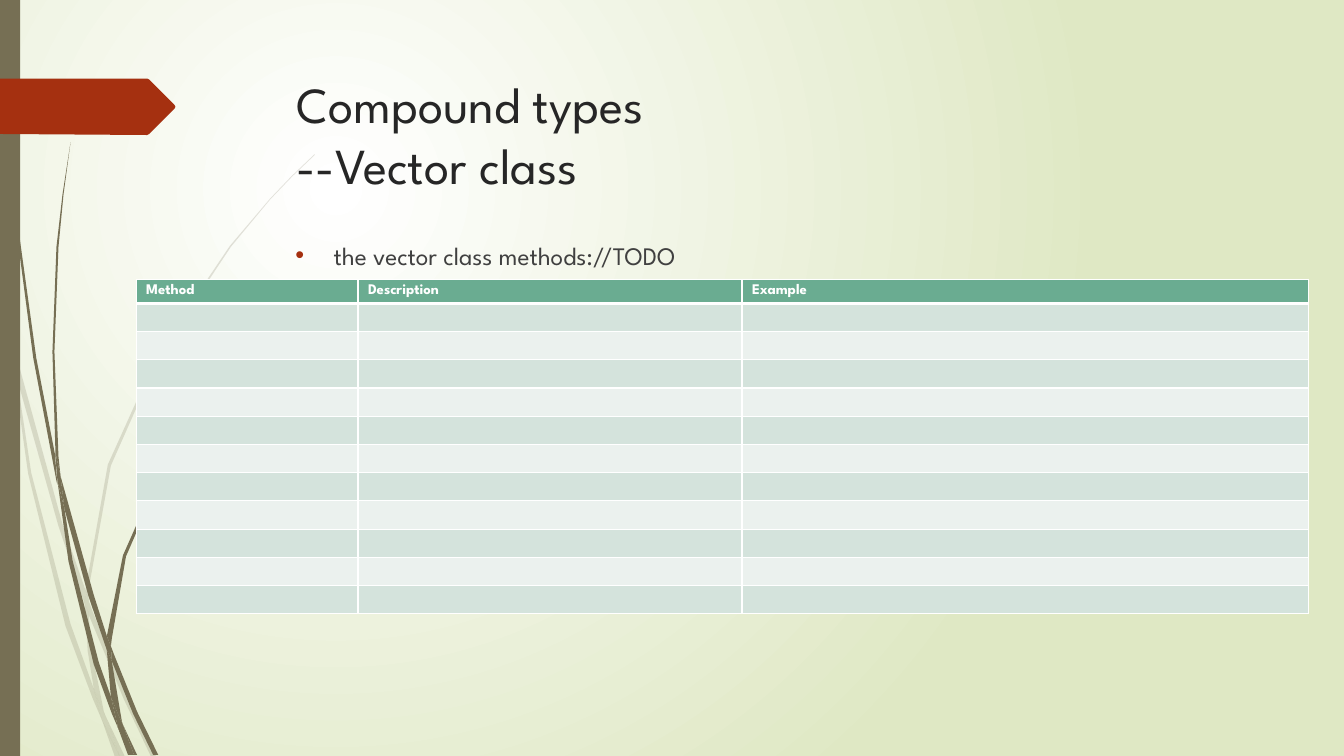
import pptx
import pptx.dml.color
import pptx.enum.shapes
import pptx.enum.text
import pptx.oxml
import pptx.oxml.ns
import pptx.util
from pptx.util import Inches

FONT = "League Spartan"
BROWN, RED, WHITE = "766F54", "A53010", "FFFFFF"
HEADS = ["Method", "Description", "Example"]
WIDTHS = [2.2, 3.81, 5.62]
BANDS = ["EBF1EE", "D4E3DC"]

# Outlines as x, y, x, y ... in inches
PALE = [
    (0.11, 3.5, 0.09, 3.22, 0, 2.82, 0, 2.99, 0.1, 3.44),
    (0.58, 5.22, 0.84, 5.99, 0.85, 5.86, 0.62, 5.2, 0.14, 3.45, 0.17, 3.76),
    (0.92, 6.07, 0.88, 5.96, 0.88, 6.1, 1.23, 6.94, 1.5, 7.51, 1.55, 7.51,
     1.27, 6.92),
    (1.19, 7.51, 1.24, 7.51, 1.05, 7.11),
    (0.93, 6.83, 0.7, 6.19, 0.31, 4.69, 0.17, 3.76, 0.11, 3.5, 0.28, 4.7,
     0.65, 6.21, 0.92, 6.93, 1.01, 7.14, 0.99, 7.07),
    (0.84, 5.99, 0.87, 6.46, 0.93, 6.83, 0.96, 6.92, 1.05, 7.11, 1.03, 7.06,
     0.91, 6.46, 0.88, 6.1, 0.88, 6.08),
    (0.88, 5.84, 1.1, 4.62, 1.6, 3.49, 2.29, 2.45, 2.68, 1.98, 2.9, 1.75,
     3.12, 1.54, 3.12, 1.53, 2.89, 1.75, 2.68, 1.97, 2.28, 2.44, 1.58, 3.48,
     1.07, 4.61, 0.85, 5.84, 0.85, 5.86, 0.88, 5.96),
    (1.01, 7.14, 1.14, 7.51, 1.19, 7.51),
    (0.88, 6.08, 0.88, 6.1, 0.88, 5.96, 0.85, 5.86, 0.84, 5.99),
    (0.96, 6.92, 0.93, 6.83, 0.99, 7.07, 1.01, 7.14, 1.19, 7.51, 1.05, 7.11),
]
DARK = [
    (0.07, 1.1, 0.17, 2.33, 0.33, 3.55, 0.56, 4.77, 0.57, 4.81, 0.55, 4.57,
     0.55, 4.53, 0.36, 3.55, 0.19, 2.32, 0.08, 1.09, 0.05, 0.48, 0.04, 0,
     0.03, 0, 0.04, 0.48),
    (0.88, 5.92, 1.06, 6.45, 1.06, 6.33, 1.06, 6.31, 0.93, 5.9, 0.6, 4.72,
     0.64, 5.05),
    (1.13, 6.49, 1.1, 6.41, 1.11, 6.56, 1.32, 7.08, 1.52, 7.49, 1.57, 7.49,
     1.36, 7.06),
    (1.1, 6.91, 0.98, 6.57, 0.72, 5.56, 0.64, 5.05, 0.57, 4.77, 0.68, 5.57,
     0.93, 6.59, 1.11, 7.08, 1.17, 7.22, 1.16, 7.17),
    (0.6, 4.72, 0.58, 4.53, 0.54, 3.49, 0.58, 2.45, 0.63, 1.93, 0.7, 1.41,
     0.62, 1.93, 0.56, 2.45, 0.52, 3.49, 0.55, 4.49),
    (1.33, 7.49, 1.36, 7.49, 1.22, 7.19),
    (0.57, 4.77, 0.64, 5.05, 0.6, 4.72, 0.55, 4.49, 0.55, 4.53),
    (1.11, 6.33, 1.25, 5.52, 1.58, 4.76, 2.05, 4.06, 2.31, 3.74, 2.45, 3.59,
     2.61, 3.44, 2.6, 3.44, 2.45, 3.58, 2.31, 3.73, 2.04, 4.05, 1.56, 4.74,
     1.22, 5.51, 1.06, 6.31, 1.1, 6.41),
    (1.17, 7.22, 1.27, 7.49, 1.31, 7.49),
    (1.06, 6.45, 1.1, 6.91, 1.16, 7.06, 1.22, 7.19, 1.21, 7.16, 1.11, 6.56,
     1.09, 6.51),
    (1.06, 6.45, 1.09, 6.51, 1.11, 6.56, 1.1, 6.41, 1.06, 6.31, 1.06, 6.33),
    (1.16, 7.06, 1.1, 6.91, 1.16, 7.17, 1.17, 7.22, 1.3, 7.49, 1.33, 7.49,
     1.22, 7.19),
]
TAG = (0, 0.78, 1.46, 0.78, 1.48, 0.79, 1.73, 1.04, 1.74, 1.06, 1.73, 1.08,
       1.48, 1.33, 1.46, 1.34, 0, 1.33)


def rgb(code):
    return pptx.dml.color.RGBColor.from_string(code)


def node(home, tag, **attrs):
    item = pptx.oxml.ns.qn(tag)
    item = home.makeelement(item, attrs)
    home.append(item)
    return item


def paint(shape, code, alpha=100):
    shape.shadow.inherit = False
    shape.fill.solid()
    shape.fill.fore_color.rgb = rgb(code)
    shape.line.fill.background()
    if alpha < 100:
        tint = shape.fill._xPr.find(".//" + pptx.oxml.ns.qn("a:srgbClr"))
        node(tint, "a:alpha", val=str(alpha * 1000))


def blade(slide, flat, code, alpha=100):
    spots = [(Inches(x), Inches(y)) for x, y in zip(flat[::2], flat[1::2])]
    form = slide.shapes.build_freeform(*spots[0])
    form.add_line_segments(spots[1:], close=True)
    paint(form.convert_to_shape(), code, alpha)


def write(para, text, size, code, bold=False):
    run = para.add_run()
    run.text = text
    font = run.font
    font.name, font.size, font.bold = FONT, pptx.util.Pt(size), bold
    font.color.rgb = rgb(code)


def place(slide, holder, left, top, width, height):
    holder.left, holder.top = Inches(left), Inches(top)
    holder.width, holder.height = Inches(width), Inches(height)
    slide.shapes._spTree.append(holder._element)  # in front of the wisps
    frame = holder.text_frame
    frame.word_wrap = True
    frame.auto_size = pptx.enum.text.MSO_AUTO_SIZE.NONE
    frame.vertical_anchor = pptx.enum.text.MSO_ANCHOR.TOP
    para = frame.paragraphs[0]
    para.alignment = pptx.enum.text.PP_ALIGN.LEFT
    para.space_before = pptx.util.Pt(0)
    return para


def bullet(para, code):
    props = para._p.get_or_add_pPr()
    props.set("marL", str(Inches(0.38)))
    props.set("indent", str(Inches(-0.38)))
    node(node(props, "a:buClr"), "a:srgbClr", val=code)
    node(props, "a:buFont", typeface="Arial")
    node(props, "a:buChar", char="•")


def edge(cell, top, bottom):
    props = cell._tc.get_or_add_tcPr()
    for side, size in zip("LRTB", (1, 1, top, bottom)):
        line = node(props, "a:ln" + side, w=str(pptx.util.Pt(size)))
        node(node(line, "a:solidFill"), "a:srgbClr", val=WHITE)


def backdrop(slide):
    fill = slide.background.fill
    fill.gradient()
    for stop, code, spot in zip(fill.gradient_stops, [WHITE, "DFE8C4"], [0, 1]):
        stop.color.rgb = rgb(code)
        stop.position = spot
    grad = slide._element.find(".//" + pptx.oxml.ns.qn("a:gradFill"))
    grad.remove(grad.find(pptx.oxml.ns.qn("a:lin")))
    node(node(grad, "a:path", path="circle"), "a:fillToRect",
         l="50000", t="50000", r="100000", b="100000")


def grid(slide):
    frame = slide.shapes.add_table(12, 3, Inches(1.35), Inches(2.77),
                                   Inches(sum(WIDTHS)), Inches(3.32))
    table = frame.table
    for col, width in zip(table.columns, WIDTHS):
        col.width = Inches(width)
    for i, row in enumerate(table.rows):
        row.height = Inches(0.28 if i else 0.24)
        for cell, head in zip(row.cells, HEADS):
            edge(cell, 3 if i == 1 else 1, 1 if i else 3)
            cell.fill.solid()
            cell.fill.fore_color.rgb = rgb(BANDS[i % 2] if i else "6AAC91")
            para = cell.text_frame.paragraphs[0]
            if i:
                node(para._p, "a:endParaRPr", sz="1050")
            else:
                write(para, head, 10.5, WHITE, True)


def main():
    deck = pptx.Presentation()
    deck.slide_width, deck.slide_height = Inches(13.33), Inches(7.5)
    slide = deck.slides.add_slide(deck.slide_layouts[1])
    backdrop(slide)

    # Wisps, side bar and red tag
    for flat in PALE:
        blade(slide, flat, BROWN, 20)
    for flat in DARK:
        blade(slide, flat, BROWN)
    bar = slide.shapes.add_shape(pptx.enum.shapes.MSO_SHAPE.RECTANGLE,
                                 0, 0, Inches(0.2), Inches(7.5))
    paint(bar, BROWN)
    blade(slide, TAG, RED)

    # Title and list
    title = place(slide, slide.shapes.title, 2.84, 0.68, 9.75, 1.4)
    write(title, "Compound types", 36, "262626")
    title.add_line_break()
    write(title, "--Vector class", 36, "262626")
    body = place(slide, slide.placeholders[1], 2.83, 2.33, 9.75, 4.13)
    bullet(body, RED)
    write(body, "the vector class methods://TODO", 18, "404040")

    # Methods table
    grid(slide)
    deck.save("out.pptx")


if __name__ == "__main__":
    main()
